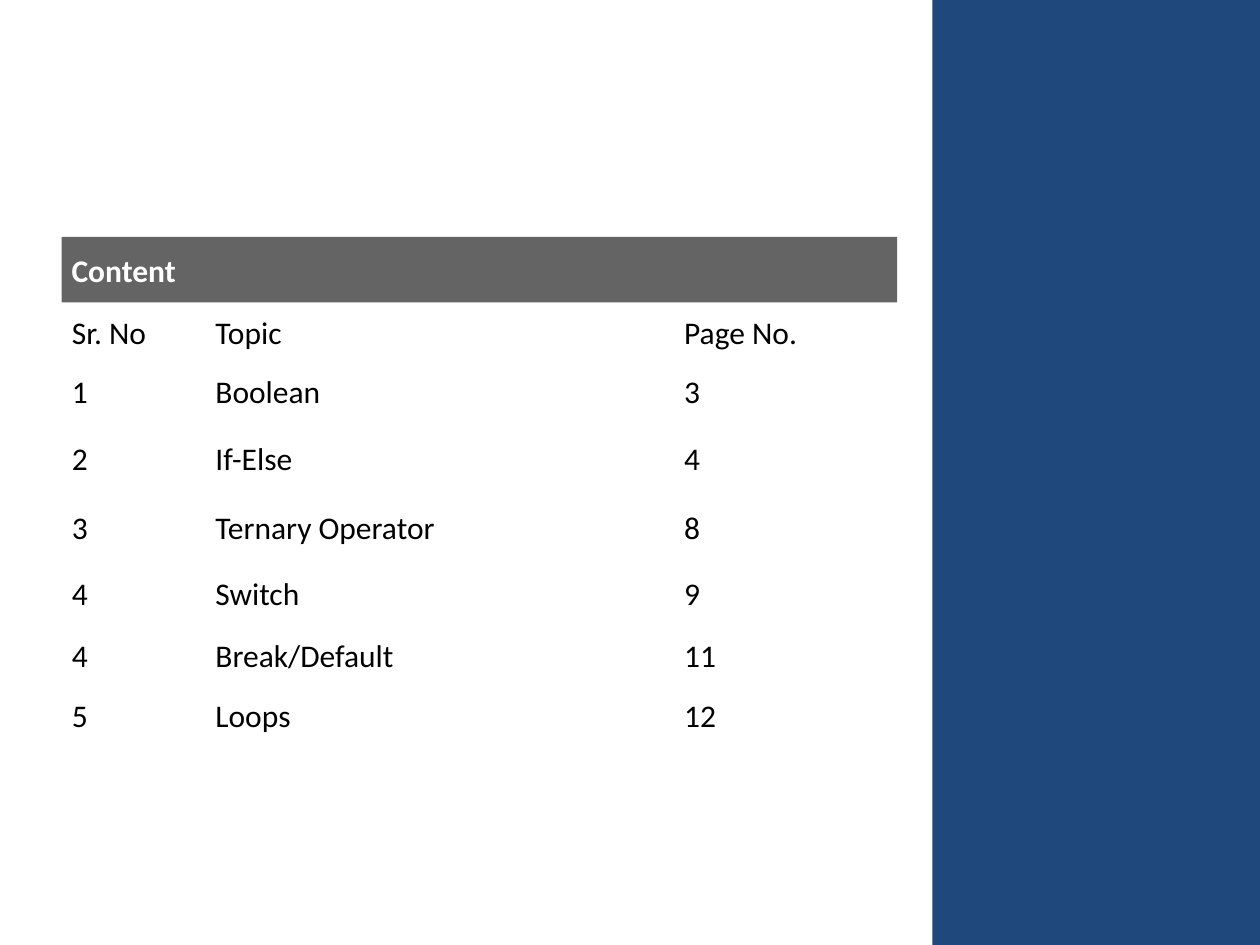
from pptx import Presentation
from pptx.dml.color import RGBColor
from pptx.enum import shapes, text
from pptx.util import Inches, Pt

COLORS = {"bar": "646464", "panel": "1F487C", "heading": "FFFFFF", "body": "000000"}
NO_STYLE = "{2D5ABB26-0587-4C30-8999-92F81FD0307C}"
COL_WIDTHS = [1.14, 3.72, 1.69]
ROW_HEIGHTS = [0.52, 0.41, 0.65, 0.46, 0.58, 0.29, 0.55, 0.52]
TOPICS = [
    ("Sr. No", "Topic", "Page No."),
    ("1", "Boolean", "3"),
    ("2", "If-Else", "4"),
    ("3", "Ternary Operator", "8"),
    ("4", "Switch", "9"),
    ("4", "Break/Default", "11"),
    ("5", "Loops", "12"),
]


def add_block(s, color, *box):
    sp = s.shapes.add_shape(shapes.MSO_SHAPE.RECTANGLE, *map(Inches, box))
    sp.shadow.inherit = False
    sp.fill.solid()
    sp.fill.fore_color.rgb = RGBColor.from_string(COLORS[color])
    sp.line.fill.background()


def write(tf, content, color, bold=False):
    r = tf.paragraphs[0].add_run()
    r.text = content
    for name, value in {"name": "Calibri", "size": Pt(18), "bold": bold}.items():
        setattr(r.font, name, value)
    r.font.color.rgb = RGBColor.from_string(COLORS[color])


def add_heading(s, content, *box):
    tf = s.shapes.add_textbox(*map(Inches, box)).text_frame
    tf.word_wrap = True
    write(tf, content, "heading", bold=True)


def add_topics(s, left, top):
    size = len(ROW_HEIGHTS), len(COL_WIDTHS)
    box = left, top, sum(COL_WIDTHS), sum(ROW_HEIGHTS)
    table = s.shapes.add_table(*size, *map(Inches, box)).table
    table.first_row = table.horz_banding = False
    table._tbl.tblPr[0].text = NO_STYLE
    for column, width in zip(table.columns, COL_WIDTHS):
        column.width = Inches(width)
    for row, height in zip(table.rows, ROW_HEIGHTS):
        row.height = Inches(height)
    for cell in table.iter_cells():
        cell.fill.background()
        cell.vertical_anchor = text.MSO_ANCHOR.MIDDLE
    # The last row stays empty
    for row, values in zip(table.rows, TOPICS):
        for cell, value in zip(row.cells, values):
            write(cell.text_frame, value, "body")


def main():
    prs = Presentation()
    prs.slide_width, prs.slide_height = Inches(10), Inches(7.5)
    s = prs.slides.add_slide(prs.slide_layouts[6])
    # Heading bar and side panel
    add_block(s, "bar", 0.49, 1.88, 6.63, 0.52)
    add_block(s, "panel", 7.4, 0, 2.6, 7.5)
    # Table of contents
    add_heading(s, "Content", 0.47, 1.94, 6.64, 2.52)
    add_topics(s, 0.47, 2.39)
    prs.save("out.pptx")


if __name__ == "__main__":
    main()
